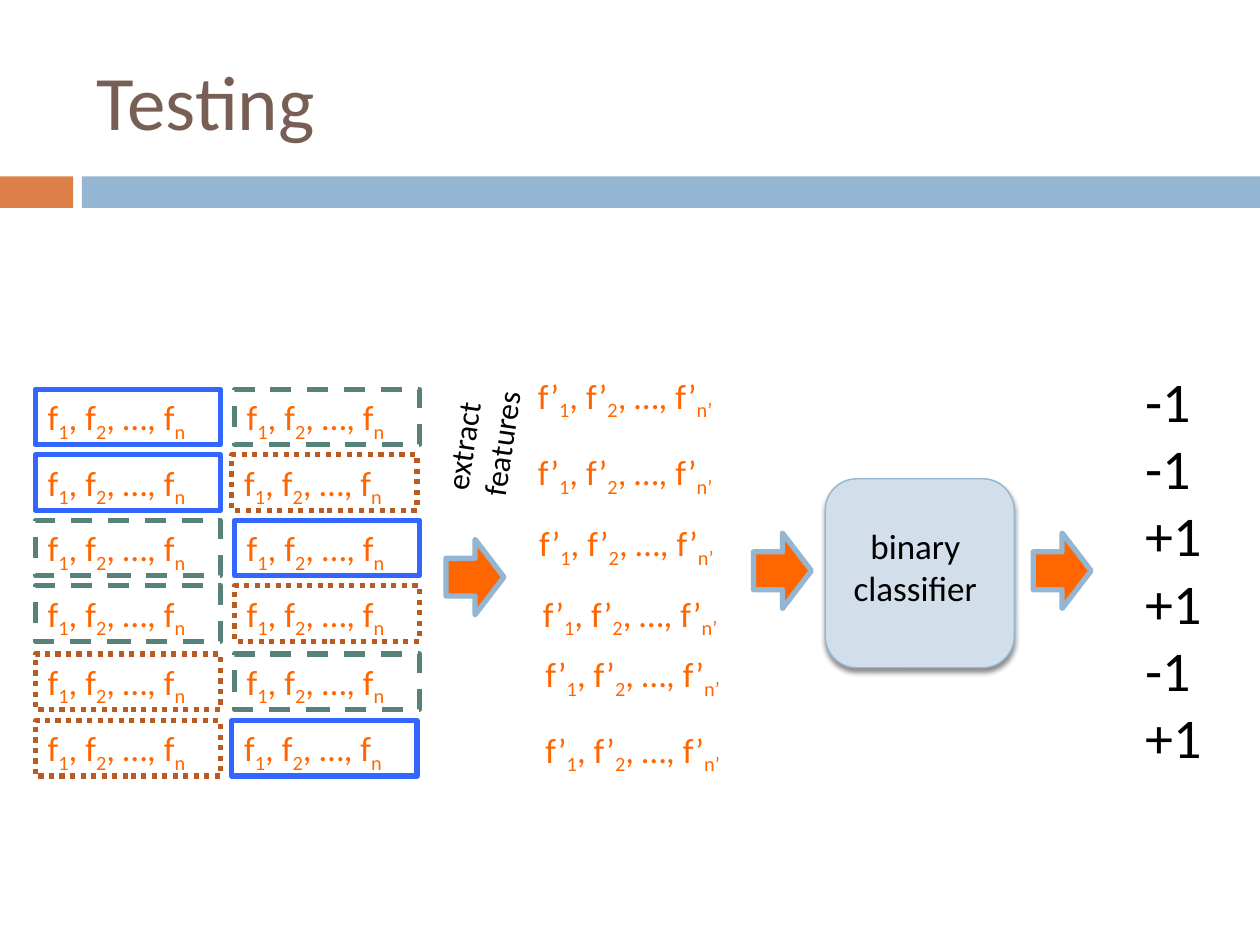
"""Build the Testing slide: feature lists, extraction, binary classifier and labels."""
from lxml.etree import SubElement
from pptx import Presentation
from pptx.dml.color import RGBColor
from pptx.enum.dml import MSO_LINE
from pptx.enum.shapes import MSO_SHAPE
from pptx.enum.text import MSO_ANCHOR, PP_ALIGN
from pptx.oxml.ns import qn
from pptx.util import Inches, Pt

BLACK = RGBColor(0x00, 0x00, 0x00)
BROWN = RGBColor(0x77, 0x5F, 0x55)
ORANGE = RGBColor(0xFF, 0x66, 0x00)
ORANGE_BAR = RGBColor(0xDD, 0x80, 0x47)
RUST = RGBColor(0xB9, 0x5B, 0x22)
GREEN = RGBColor(0x57, 0x82, 0x79)
BLUE = RGBColor(0x33, 0x66, 0xFF)
BLUE_BAR = RGBColor(0x94, 0xB6, 0xD2)
PALE_BLUE = RGBColor(0xD2, 0xDE, 0xEA)

presentation = Presentation()
presentation.slide_width, presentation.slide_height = Inches(10), Inches(7.5)
slide = presentation.slides.add_slide(presentation.slide_layouts[6])
CELL = presentation.slide_width / 100


def add_text(area, lines, size, color):
    """Add a text box; odd pieces of each line are subscripts."""
    box = slide.shapes.add_textbox(*(round(cells * CELL) for cells in area))
    frame = box.text_frame
    frame.word_wrap = True
    for index, pieces in enumerate(lines):
        paragraph = frame.add_paragraph() if index else frame.paragraphs[0]
        paragraph.font.name = "Calibri"
        paragraph.font.size = Pt(size)
        paragraph.font.color.rgb = color
        for position, piece in enumerate(pieces):
            run = paragraph.add_run()
            run.text = piece
            if position % 2:
                run.font._element.set("baseline", "-25000")
    return box


def add_block(kind, area, fill, line_width=0):
    """Add a filled shape, outlined in the bar blue when a width is given."""
    shape = slide.shapes.add_shape(kind, *(round(cells * CELL) for cells in area))
    shape.shadow.inherit = False
    shape.fill.solid()
    shape.fill.fore_color.rgb = fill
    if line_width:
        shape.line.color.rgb = BLUE_BAR
        shape.line.width = Pt(line_width)
    else:
        shape.line.fill.background()
    return shape


add_block(MSO_SHAPE.RECTANGLE, (0, 14, 5.8, 2.5), ORANGE_BAR)
add_block(MSO_SHAPE.RECTANGLE, (6.5, 14, 93.5, 2.5), BLUE_BAR)
title = add_text((6.7, 2.5, 89.2, 10.8), [["Testing"]], 44, BROWN)
title.text_frame.vertical_anchor = MSO_ANCHOR.MIDDLE

caption = add_text((28.4, 29, 17.9, 4), [["extract features"]], 18, BLACK)
caption.rotation = 278.4

solid, dashed, dotted = (BLUE, MSO_LINE.SOLID), (GREEN, MSO_LINE.DASH), (RUST, MSO_LINE.ROUND_DOT)
feature_rows = [
    (30.9, (2.8, solid), (18.6, dashed)),
    (36.1, (2.8, solid), (18.4, dotted)),
    (41.3, (2.8, dashed), (18.6, solid)),
    (46.5, (2.8, dashed), (18.6, dotted)),
    (51.9, (2.8, dotted), (18.6, dashed)),
    (57.2, (2.8, dotted), (18.4, solid)),
]
features = ["f", "1", ", f", "2", ", …, f", "n"]
for top, *row in feature_rows:
    for left, (color, dash) in row:
        feature_box = add_text((left, top, 14.7, 4.4), [features], 20, ORANGE)
        feature_box.line.color.rgb = color
        feature_box.line.width = Pt(3)
        feature_box.line.dash_style = dash

extracted = ["f’", "1", ", f’", "2", ", …, f’", "n’"]
extracted_places = [(41.7, 29.2), (41.7, 35.3), (41.8, 40.9), (42.1, 46.5), (42.3, 51.3), (42.3, 57.3)]
for left, top in extracted_places:
    add_text((left, top, 17.5, 4.4), [extracted], 20, ORANGE)

for left, top in [(34.7, 43.5), (59.1, 43), (81.3, 43)]:
    arrow = add_block(MSO_SHAPE.DOWN_ARROW, (left, top, 6, 4.6), ORANGE, 3)
    arrow.rotation = 270

classifier = add_block(MSO_SHAPE.ROUNDED_RECTANGLE, (65.5, 38, 15, 15), PALE_BLUE, 0.79)
effects = classifier._element.spPr.find(qn("a:effectLst"))
shadow = SubElement(effects, qn("a:outerShdw"), blurRad=str(Pt(3)), dist=str(Pt(2.4)),
                    dir="5400000", rotWithShape="0")
shadow_color = SubElement(shadow, qn("a:srgbClr"), val="000000")
SubElement(shadow_color, qn("a:alpha"), val="45000")
classifier_label = add_text((64.8, 41.1, 15.7, 7.7), [["binary classifier"]], 20, BLACK)
classifier_label.text_frame.paragraphs[0].alignment = PP_ALIGN.CENTER

labels = ["-1", "-1", "+1", "+1", "-1", "+1"]
add_text((89.9, 28.6, 7.5, 33.3), [[label] for label in labels], 32, BLACK)

presentation.save("out.pptx")
